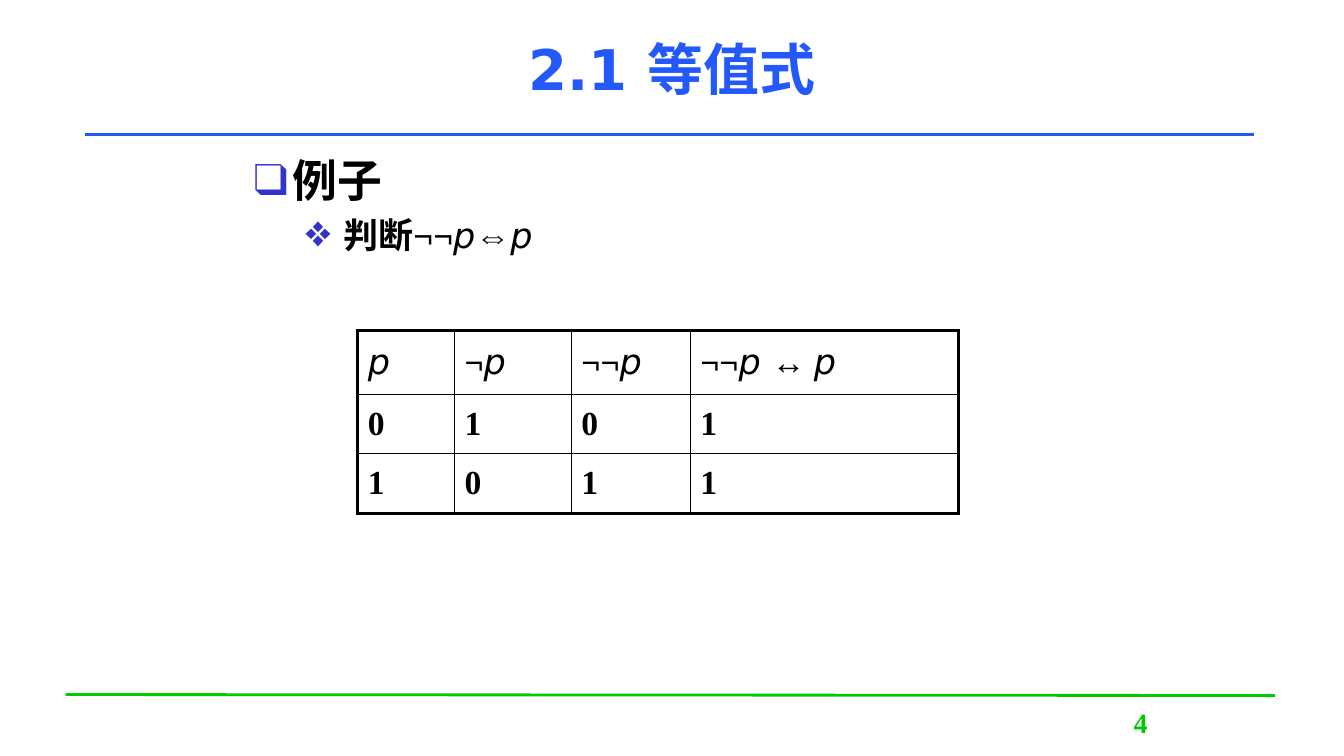
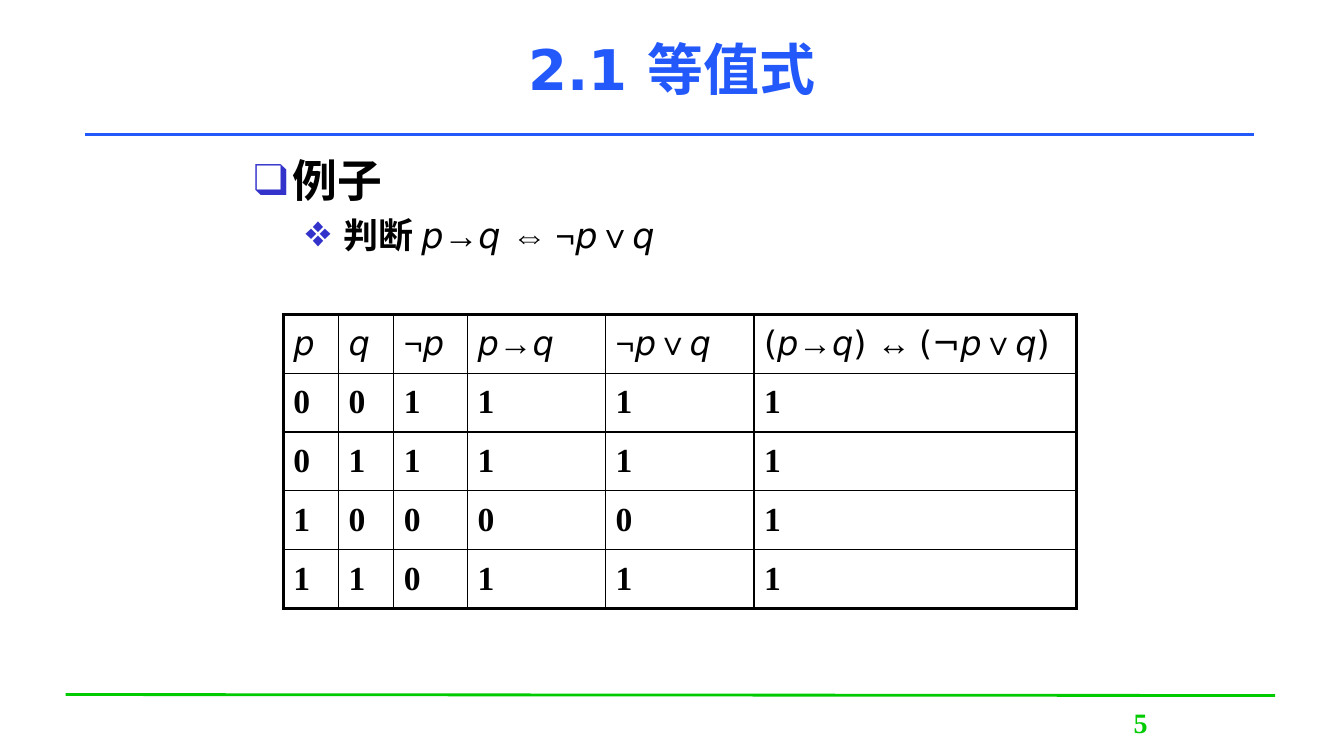
"""Build two slides that check logical equivalences with truth tables."""
from lxml.etree import SubElement
from pptx import Presentation
from pptx.dml.color import RGBColor as Color
from pptx.enum.shapes import MSO_CONNECTOR as Connector
from pptx.enum.text import MSO_ANCHOR as Anchor, MSO_AUTO_SIZE as AutoSize, PP_ALIGN as Align
from pptx.oxml.ns import qn
from pptx.util import Pt

COLORS = {"title": "2359FB", "footer": "00CB00", "bullet": "3333CC", "ink": "000000"}
SANS, SERIF = "DejaVu Sans", "Times New Roman"
STYLES = {
    "variable": {"font": SANS, "bold": False, "italic": True},
    "plain": {"font": SANS, "bold": False},
    "symbol": {"font": SERIF},
}
RULES = [("footer", 46.8, 496.1, 910.8, 496.8), ("title", 60.5, 95.8, 895.7, 95.8)]
BULLETS = [("❑", 27.4, 27.4), ("❖", 58.3, 22.3)]
SLIDES = [
    {
        "claim": " 判断¬¬p⇔p",
        "header": ["p", "¬p", "¬¬p", "¬¬p ↔ p"],
        "values": ["0101", "1011"],
        "corner": (255.6, 236.2),
        "widths": [69, 83.5, 85, 191.5],
        "heights": [45.4, 42.5, 42.5],
        "variable_size": 25,
    },
    {
        "claim": " 判断 p→q ⇔ ¬p∨q",
        "header": ["p", "q", "¬p", "p→q", "¬p∨q", "(p→q) ↔ (¬p∨q)"],
        "values": ["001111", "011111", "100001", "110111"],
        "corner": (202.3, 224.6),
        "widths": [39.5, 39.5, 52.7, 98.6, 106, 230.4],
        "heights": [42] * 5,
        "variable_size": 24,
    },
]


def write(para, text, size=24, font=SERIF, color="ink", bold=True, italic=False):
    span = para.add_run()
    span.text = text
    span.font.size = Pt(size)
    span.font.name = font
    span.font.bold = bold
    span.font.italic = italic
    span.font.color.rgb = Color.from_string(COLORS[color])


def write_formula(para, text, size, variable_size):
    pieces = []
    previous = ""
    for char in text:
        if char in "pq":
            style = "variable"
        elif char in "()" or previous == "(":
            style = "plain"
        elif char == " " and pieces:
            style = pieces[-1][0]
        else:
            style = "symbol"
        if pieces and pieces[-1][0] == style:
            pieces[-1][1] += char
        else:
            pieces.append([style, char])
        previous = char
    for style, piece in pieces:
        piece_size = variable_size if style == "variable" else size
        write(para, piece, size=piece_size, **STYLES[style])


deck = Presentation()
deck.slide_width, deck.slide_height = Pt(960), Pt(540)

for number, content in enumerate(SLIDES, start=4):
    page = deck.slides.add_slide(deck.slide_layouts[1])

    for color, *ends in RULES:
        rule = page.shapes.add_connector(Connector.STRAIGHT, *[Pt(end) for end in ends])
        rule.line.color.rgb = Color.from_string(COLORS[color])
        rule.line.width = Pt(2)
        SubElement(rule._element.spPr, qn("a:effectLst"))

    number_box = page.shapes.add_textbox(Pt(738.7), Pt(500.4), Pt(152), Pt(36))
    number_box.text_frame.word_wrap = True
    para = number_box.text_frame.paragraphs[0]
    para.alignment = Align.CENTER
    write(para, str(number), size=20, color="footer")

    title = page.shapes.title
    title.left, title.top, title.width, title.height = Pt(72), Pt(3.6), Pt(816), Pt(90)
    title.text_frame.vertical_anchor = Anchor.MIDDLE
    title.text_frame.auto_size = AutoSize.NONE
    para = title.text_frame.paragraphs[0]
    para.alignment = Align.CENTER
    write(para, "2.1 等值式", size=40, font=SANS, color="title")

    body = page.placeholders[1]
    body.left, body.top, body.width, body.height = Pt(174.2), Pt(105.8), Pt(612), Pt(385)
    body.text_frame.auto_size = AutoSize.NONE
    heading = body.text_frame.paragraphs[0]
    claim = body.text_frame.add_paragraph()
    claim.level = 1
    write(heading, "例子", size=32)
    write_formula(claim, content["claim"], 25, 25)
    for para, (mark, margin, hanging) in zip((heading, claim), BULLETS):
        properties = para._p.get_or_add_pPr()
        properties.set("marL", str(Pt(margin)))
        properties.set("indent", str(-Pt(hanging)))
        bullet_color = SubElement(properties, qn("a:buClr"))
        SubElement(bullet_color, qn("a:srgbClr"), val=COLORS["bullet"])
        SubElement(properties, qn("a:buFont"), typeface=SERIF)
        SubElement(properties, qn("a:buChar"), char=mark)

    rows = [content["header"], *content["values"]]
    widths, heights = content["widths"], content["heights"]
    left, top = content["corner"]
    table = page.shapes.add_table(
        len(rows), len(widths), Pt(left), Pt(top), Pt(sum(widths)), Pt(sum(heights))
    ).table
    table.first_row = table.horz_banding = False
    for column, width in zip(table.columns, widths):
        column.width = Pt(width)
    for row, height in zip(table.rows, heights):
        row.height = Pt(height)

    for row_index, row in enumerate(rows):
        for column_index, text in enumerate(row):
            cell = table.cell(row_index, column_index)
            cell.vertical_anchor = Anchor.MIDDLE
            write_formula(cell.text_frame.paragraphs[0], text, 24, content["variable_size"])
            outer_edges = {
                "lnL": column_index == 0,
                "lnR": column_index == len(widths) - 1,
                "lnT": row_index == 0,
                "lnB": row_index == len(rows) - 1,
            }
            properties = cell._tc.get_or_add_tcPr()
            for edge, is_outer in outer_edges.items():
                border = SubElement(properties, qn(f"a:{edge}"), w=str(Pt(2.25 if is_outer else 1)))
                fill = SubElement(border, qn("a:solidFill"))
                SubElement(fill, qn("a:srgbClr"), val=COLORS["ink"])
            cell.fill.background()

deck.save("out.pptx")
